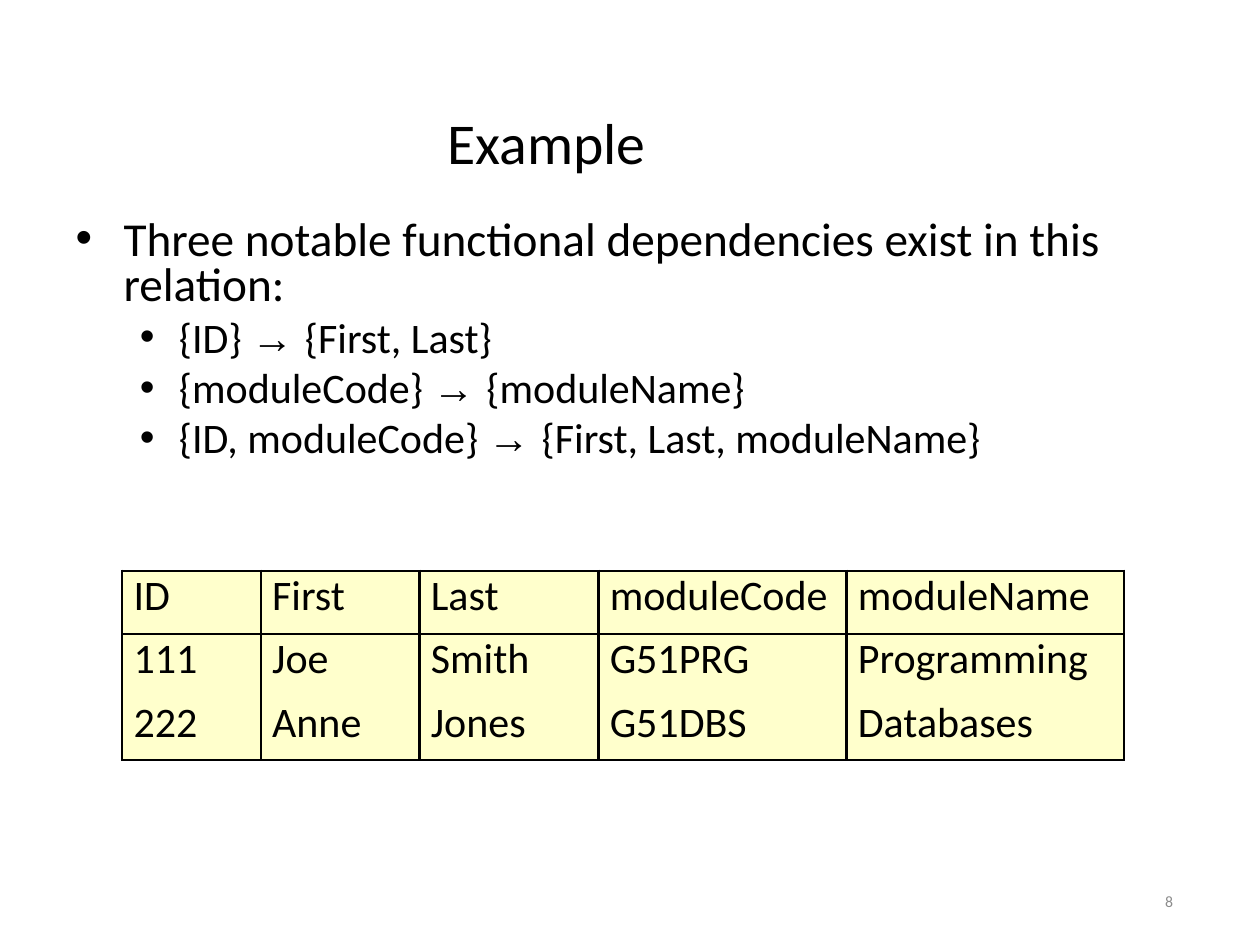
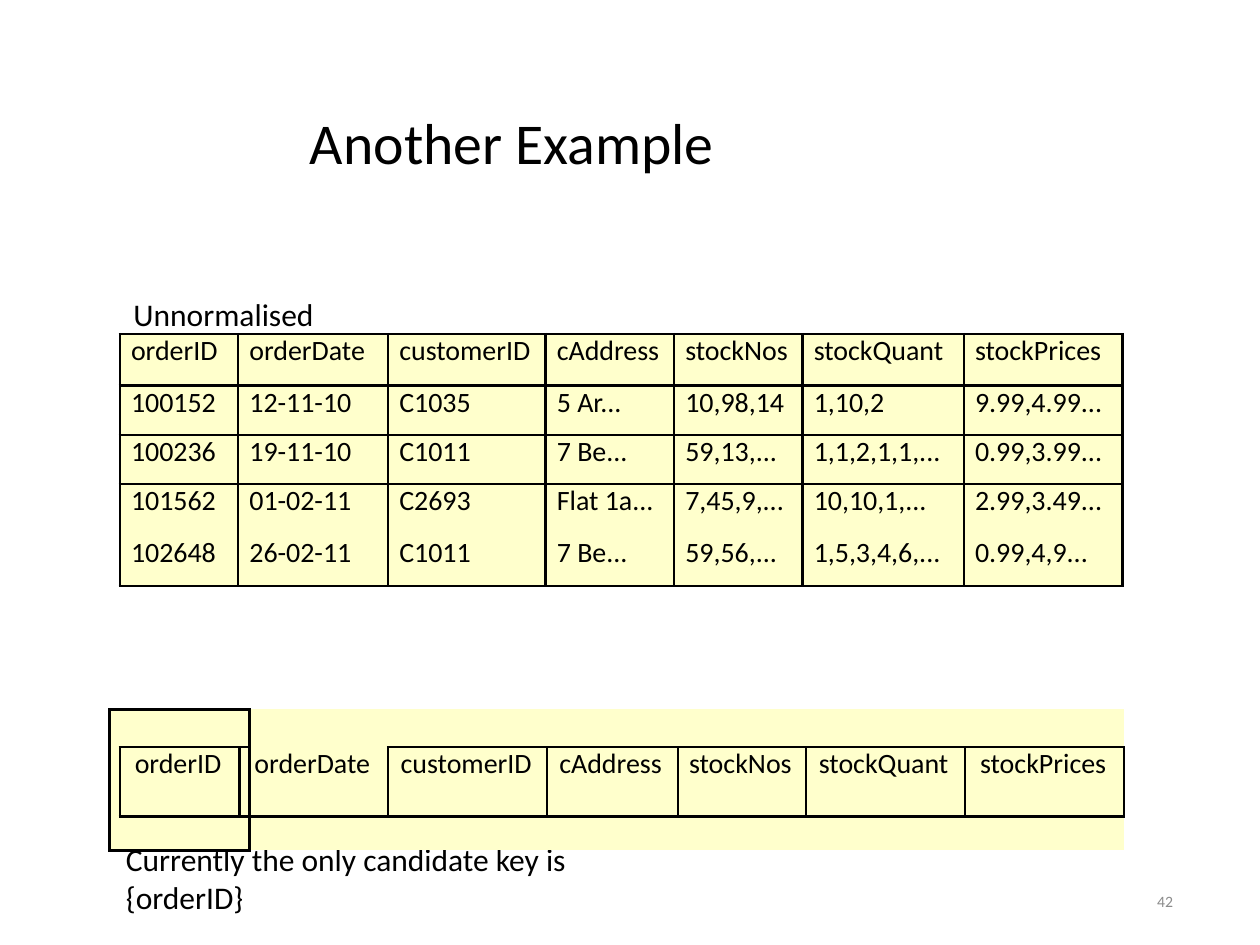
from dataclasses import dataclass

from lxml.etree import SubElement
from pptx import Presentation
from pptx.dml.color import RGBColor
from pptx.enum.text import MSO_ANCHOR, MSO_AUTO_SIZE, PP_ALIGN
from pptx.oxml.ns import qn
from pptx.util import Inches, Pt

PLAIN_TABLE_STYLE = "{2D5ABB26-0587-4C30-8999-92F81FD0307C}"
TITLE_AND_CONTENT, TITLE_ONLY = 1, 5
ARROW = "→ "


@dataclass(frozen=True)
class Theme:
    font: str = "Calibri"
    arrow_font: str = "Arial"
    ink: str = "000000"
    muted: str = "8C8C8C"
    cell_fill: str = "FFFFCC"
    title_size: float = 33
    list_sizes: tuple = (27, 24)
    table_size: float = 24
    small_table_size: float = 16
    label_size: float = 18
    number_size: float = 9
    spacer_size: float = 6
    border_width: float = 1.5


class DeckBuilder:
    """Holds the theme, the deck and the page being filled."""

    def __init__(self, theme):
        self.theme = theme
        self.deck = Presentation()
        self.deck.slide_width, self.deck.slide_height = Inches(10), Inches(7.5)
        self.page = None

    def start_page(self, layout, title, title_indent, number):
        self.page = self.deck.slides.add_slide(self.deck.slide_layouts[layout])
        box = self.page.shapes.title
        frame = self.place(box, 0.69, 0.4, 8.62, 1.45, MSO_ANCHOR.MIDDLE)
        frame.margin_left = Inches(title_indent)
        frame.text = title
        frame.paragraphs[0].alignment = PP_ALIGN.LEFT
        self.style(frame.paragraphs[0], self.theme.title_size)
        self.label(str(number), 7.06, 6.95, 2.25, 0.4, self.theme.number_size,
                   self.theme.muted, PP_ALIGN.RIGHT, MSO_ANCHOR.MIDDLE)

    def place(self, box, left, top, width, height, anchor=MSO_ANCHOR.TOP):
        """Position a text shape, clear its insets and return its frame."""
        box.left, box.top = Inches(left), Inches(top)
        box.width, box.height = Inches(width), Inches(height)
        frame = box.text_frame
        frame.margin_left = frame.margin_right = 0
        frame.margin_top = frame.margin_bottom = 0
        frame.word_wrap = True
        frame.auto_size = MSO_AUTO_SIZE.NONE
        frame.vertical_anchor = anchor
        return frame

    def style(self, para, size, color=None):
        para.font.name = self.theme.font
        para.font.size = Pt(size)
        para.font.color.rgb = RGBColor.from_string(color or self.theme.ink)

    def label(self, text, left, top, width, height, size=None, color=None,
              align=PP_ALIGN.LEFT, anchor=MSO_ANCHOR.TOP):
        box = self.page.shapes.add_textbox(0, 0, 0, 0)
        frame = self.place(box, left, top, width, height, anchor)
        frame.text = text
        frame.paragraphs[0].alignment = align
        self.style(frame.paragraphs[0], size or self.theme.label_size, color)

    def bullets(self, items, left, top, width, height):
        """Fill the body placeholder with (level, text) items."""
        frame = self.place(self.page.placeholders[1], left, top, width, height)
        indents = ((0.39, -0.38), (0.83, -0.31))
        for index, (level, text) in enumerate(items):
            para = frame.add_paragraph() if index else frame.paragraphs[0]
            para.level = level
            margin, hanging = indents[level]
            properties = para._p.get_or_add_pPr()
            properties.set("marL", str(Inches(margin)))
            properties.set("indent", str(Inches(hanging)))
            SubElement(properties, qn("a:buChar"), char="•")
            para.space_before = Pt(0)
            if level == 0:
                para.line_spacing = Pt(25.9)
            self.style(para, self.theme.list_sizes[level])
            before, arrow, after = text.partition(ARROW)
            for part in filter(None, (before, arrow, after)):
                span = para.add_run()
                span.text = part
                if part == ARROW:
                    span.font.name = self.theme.arrow_font

    def table(self, left, top, columns, heights, rows, size, sides=None, pads=None):
        """Draw a table; sides names the ruled edges (L, R, T, B) of each cell."""
        grid = self.page.shapes.add_table(
            len(rows), len(columns), Inches(left), Inches(top),
            Inches(sum(columns)), Inches(sum(heights))).table
        grid._tbl.tblPr.find(qn("a:tableStyleId")).text = PLAIN_TABLE_STYLE
        for column, width in zip(grid.columns, columns):
            column.width = Inches(width)
        for r, (height, texts) in enumerate(zip(heights, rows)):
            grid.rows[r].height = Inches(height)
            for c, text in enumerate(texts):
                cell = grid.cell(r, c)
                cell.margin_left = Inches(pads[c] if pads else 0.09)
                cell.margin_right = cell.margin_top = cell.margin_bottom = 0
                cell.text = text
                for index, para in enumerate(cell.text_frame.paragraphs):
                    self.style(para, size if text else self.theme.spacer_size)
                    if index:
                        para.space_before = Pt(7.2)
                self.rule(cell, sides[r][c] if sides else "LRTB")
                cell.fill.solid()
                cell.fill.fore_color.rgb = RGBColor.from_string(self.theme.cell_fill)
        return grid

    def rule(self, cell, sides):
        properties = cell._tc.get_or_add_tcPr()
        for side in sides:
            line = SubElement(properties, qn(f"a:ln{side}"),
                              w=str(Pt(self.theme.border_width)))
            fill = SubElement(line, qn("a:solidFill"))
            SubElement(fill, qn("a:srgbClr"), val=self.theme.ink)


def add_dependencies(builder):
    builder.start_page(TITLE_AND_CONTENT, "Example", 2.86, 8)
    builder.bullets([
        (0, "Three notable functional dependencies exist in this relation:"),
        (1, "{ID} → {First, Last}"),
        (1, "{moduleCode} → {moduleName}"),
        (1, "{ID, moduleCode} → {First, Last, moduleName}"),
    ], 0.59, 1.75, 8.14, 1.99)
    builder.table(0.97, 4.53, [1.1, 1.26, 1.42, 1.97, 2.2], [0.5, 1], [
        ["ID", "First", "Last", "moduleCode", "moduleName"],
        ["111\n222", "Joe\nAnne", "Smith\nJones", "G51PRG\nG51DBS",
         "Programming\nDatabases"],
    ], builder.theme.table_size)


def add_orders(builder):
    builder.start_page(TITLE_ONLY, "Another Example", 1.77, 42)
    builder.label("Unnormalised", 1.06, 2.34, 1.46, 0.28)
    builder.label("Currently the only candidate key is {orderID}",
                  1, 6.67, 4.4, 0.28)
    fields = ["orderID", "orderDate", "customerID", "cAddress", "stockNos",
              "stockQuant", "stockPrices"]
    orders = [
        ["100152", "12-11-10", "C1035", "5 Ar...", "10,98,14", "1,10,2", "9.99,4.99..."],
        ["100236", "19-11-10", "C1011", "7 Be...", "59,13,...", "1,1,2,1,1,...",
         "0.99,3.99..."],
        ["101562", "01-02-11", "C2693", "Flat 1a...", "7,45,9,...", "10,10,1,...",
         "2.99,3.49..."],
        ["102648", "26-02-11", "C1011", "7 Be...", "59,56,...", "1,5,3,4,6,...",
         "0.99,4,9..."],
    ]
    size = builder.theme.small_table_size
    order_sides = [[sides] * len(fields)
                   for sides in ("LRTB", "LRTB", "LRT", "LR", "LRB")]
    builder.table(0.95, 2.65, [0.94, 1.19, 1.25, 1.02, 1.02, 1.28, 1.26],
                  [0.41, 0.39, 0.39, 0.41, 0.4], [fields, *orders], size, order_sides)

    # Narrow outer columns and rows frame the key field.
    key, *others = fields
    blank = [""] * 9
    key_sides = [
        ["LT", "TB", "RTB", "L"] + [""] * 5,
        ["LR", "LRTB", "LRTB", "LRB"] + ["LRTB"] * 5,
        ["LB", "TB", "RTB", "LT"] + ["T"] * 5,
    ]
    key_table = builder.table(
        0.87, 5.63, [0.08, 0.95, 0.08, 1.1, 1.26, 1.04, 1.02, 1.26, 1.26],
        [0.3, 0.55, 0.27], [blank, ["", key, "", *others], blank], size, key_sides,
        [0, 0.12, 0, 0.04, 0.1, 0.1, 0.09, 0.1, 0.12])
    for row in (0, 2):
        key_table.cell(row, 3).merge(key_table.cell(row, 8))


def main():
    builder = DeckBuilder(Theme())
    add_dependencies(builder)
    add_orders(builder)
    builder.deck.save("out.pptx")


if __name__ == "__main__":
    main()
